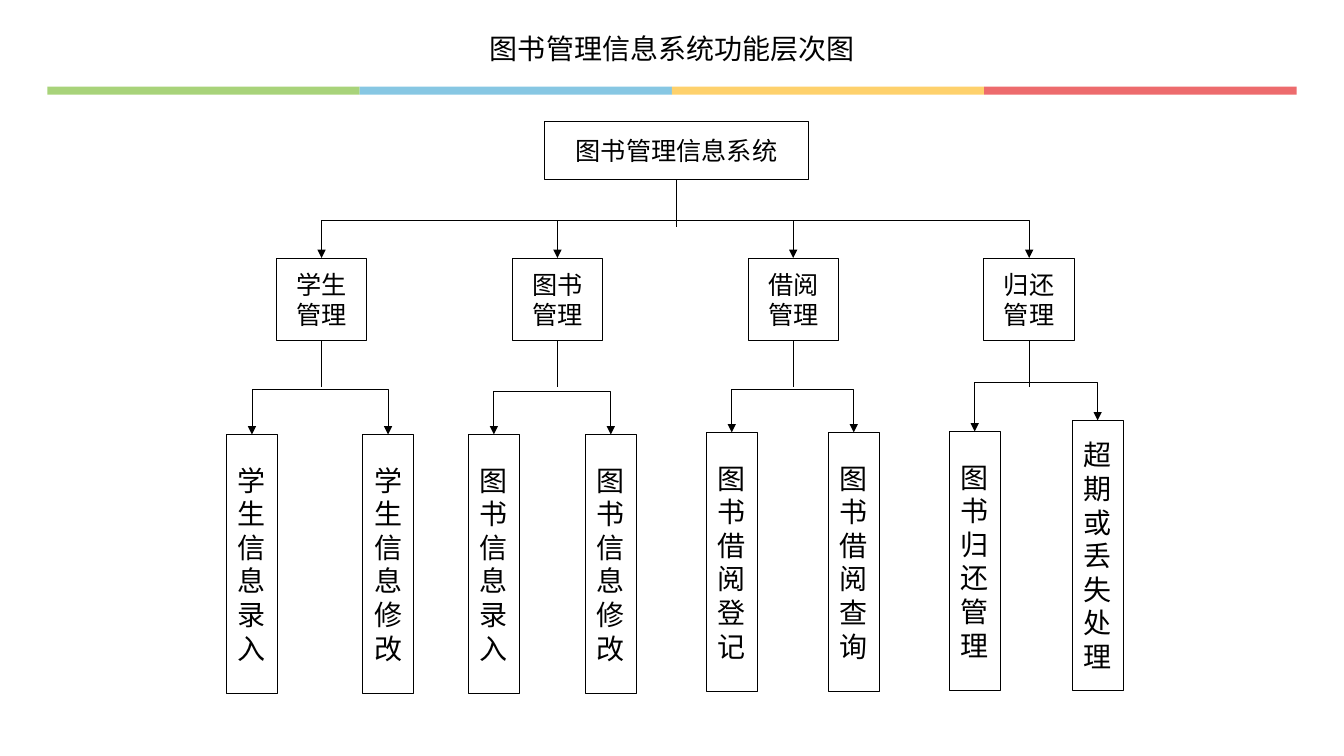
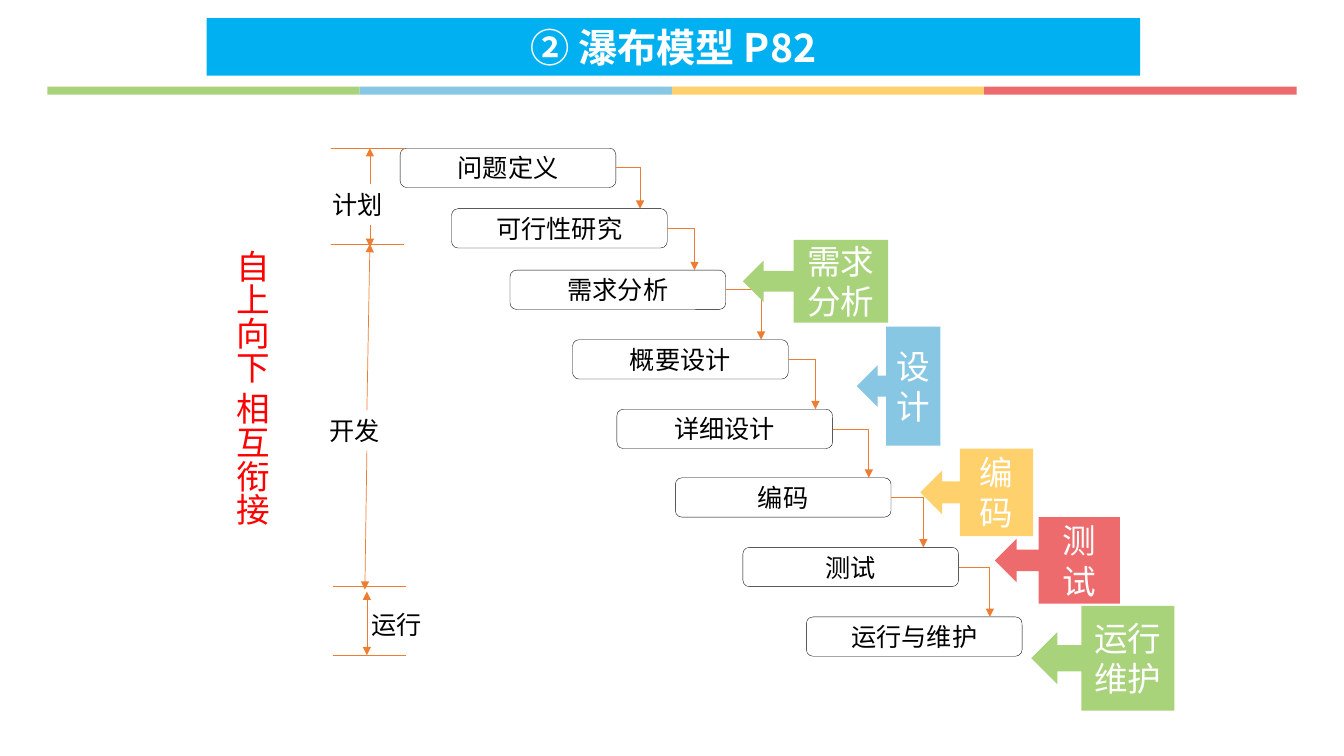
from lxml.etree import SubElement
from pptx import Presentation
from pptx.dml.color import RGBColor
from pptx.enum.shapes import MSO_CONNECTOR as Link, MSO_SHAPE as Preset
from pptx.enum.text import MSO_ANCHOR as Anchor, MSO_AUTO_SIZE as AutoSize, PP_ALIGN as Align
from pptx.oxml.ns import qn
from pptx.util import Inches, Pt

FONT = "Noto Sans CJK SC"
BLACK, WHITE, RED, ORANGE, SKY = "000000", "FFFFFF", "FF0000", "ED7D31", "00B0F0"
GREEN, BLUE, YELLOW, CORAL = BAND_COLORS = "A8D37A", "87C7E3", "FED16C", "ED6B6D"
CELL = Inches(0.1)
COLUMNS, ROWS = 133.33, 75
TITLE_ONLY = 5

# Name, height of the fork, bottom of the leaves, (leaf, left)
BRANCHES = [
    ("学生管理", 38.6, 68.8, [("学生信息录入", 22.5), ("学生信息修改", 36)]),
    ("图书管理", 38.8, 68.8, [("图书信息录入", 46.5), ("图书信息修改", 58.1)]),
    ("借阅管理", 38.6, 68.6, [("图书借阅登记", 70.1), ("图书借阅查询", 82.2)]),
    ("归还管理", 37.9, 68.5, [("图书归还管理", 94.2), ("超期或丢失处理", 106.4)]),
]

# Name, left, top, column of the arrow that comes in from the step before
STEPS = [
    ("问题定义", 39.7, 14.7, None),
    ("可行性研究", 44.8, 20.7, 63.5),
    ("需求分析", 50.6, 26.8, 68.9),
    ("概要设计", 56.8, 33.7, 75.5),
    ("详细设计", 61.2, 40.6, 80.9),
    ("编码", 67, 47.4, 86.2),
    ("测试", 73.7, 54.3, 91.6),
    ("运行与维护", 80, 61.2, 98.2),
]

CALLOUTS = [
    ("需求分析", GREEN, (73.7, 23.8, 14.4, 8.2)),
    ("设计", BLUE, (85, 32.4, 8.3, 11.8)),
    ("编码", YELLOW, (91.3, 44.5, 11.2, 8.7)),
    ("测试", CORAL, (98.7, 51.3, 12.4, 8.6)),
    ("运行维护", GREEN, (102.3, 60.1, 14.2, 10.4)),
]

PHASE_LABELS = [("计划", 32, 18.3), ("开发", 31.7, 40.7), ("运行", 35.9, 59.9)]
PHASE_LIMITS = [(32.8, 14.7), (32.8, 24.2), (33, 58.2), (33, 65)]
PHASE_ARROWS = [
    ((36.7, 18.3), (36.7, 14.7)),
    ((36.7, 22.3), (36.7, 24.5)),
    ((36.4, 40.7), (36.7, 24.2)),
    ((36.4, 44.7), (36.2, 58.5)),
]


def cells(*lengths):
    return [round(length * CELL) for length in lengths]


def rgb(color):
    return RGBColor.from_string(color)


def write(shape, text, size=18, color=BLACK, bold=False, align=Align.CENTER, wrap=True):
    frame = shape.text_frame
    frame.auto_size = AutoSize.NONE
    frame.word_wrap = wrap
    frame.vertical_anchor = Anchor.MIDDLE
    para = frame.paragraphs[0]
    para.alignment = align
    span = para.add_run()
    span.text = text
    font = span.font
    font.size, font.bold, font.name = Pt(size), bold, FONT
    font.color.rgb = rgb(color)
    SubElement(font.element if hasattr(font, "element") else span._r.get_or_add_rPr(),
               qn("a:ea"), typeface=FONT)


def add_box(page, place, preset=Preset.RECTANGLE, fill=None, line=None, width=0.5):
    box = page.shapes.add_shape(preset, *cells(*place))
    box.shadow.inherit = False
    if fill:
        box.fill.solid()
        box.fill.fore_color.rgb = rgb(fill)
    else:
        box.fill.background()
    if line:
        box.line.color.rgb = rgb(line)
        box.line.width = Pt(width)
    else:
        box.line.fill.background()
    return box


def add_label(page, text, place, **text_format):
    label = page.shapes.add_textbox(*cells(*place))
    write(label, text, **text_format)
    return label


def add_line(page, start, end, color, head=False, tail=False, bent=False):
    """Draw a connector; a bent one runs across first, then down."""
    kind = Link.ELBOW if bent else Link.STRAIGHT
    link = page.shapes.add_connector(kind, *cells(*start, *end))
    link.line.color.rgb = rgb(color)
    link.line.width = Pt(0.5)
    properties = link.element.spPr
    if bent:
        properties.find(qn("a:prstGeom")).set("prst", "bentConnector2")
    outline = properties.find(qn("a:ln"))
    for wanted, tag in ((head, "a:headEnd"), (tail, "a:tailEnd")):
        if wanted:
            SubElement(outline, qn(tag), type="triangle")
    SubElement(properties, qn("a:effectLst"))


def add_band(page, layout):
    """Draw the four-colour band and move it to the layout, for all pages."""
    margin = 4.7
    width = (COLUMNS - 2 * margin) / len(BAND_COLORS)
    for index, color in enumerate(BAND_COLORS):
        bar = add_box(page, (margin + index * width, 8.6, width, 0.8), fill=color)
        layout.shapes.element.append(bar.element)


def add_page(deck, title, place, fill=None, **text_format):
    page = deck.slides.add_slide(deck.slide_layouts[TITLE_ONLY])
    heading = page.shapes.title
    heading.left, heading.top, heading.width, heading.height = cells(*place)
    if fill:
        heading.fill.solid()
        heading.fill.fore_color.rgb = rgb(fill)
    write(heading, title, wrap=False, **text_format)
    return page


def fork(page, start, junction, stem_end, ends):
    """Draw a stem from start, and an arrow from its junction to each end."""
    column = start[0]
    add_line(page, start, (column, stem_end), BLACK)
    for end in ends:
        add_line(page, (column, junction), end, BLACK, tail=True, bent=True)


def draw_hierarchy(page):
    root_middle, root_bottom = 67.1, 17.9
    branch_top, branch_width, branch_height = 25.6, 9, 8.2
    leaf_width = 5
    middles = [31.9 + 23.4 * index for index in range(len(BRANCHES))]

    root = add_box(page, (root_middle - 13.1, 12, 26.2, 5.8), line=BLACK)
    write(root, "图书管理信息系统")
    fork(page, (root_middle, root_bottom), 21.9, 22.5,
         [(middle, branch_top) for middle in middles])

    for middle, (name, junction, bottom, leaves) in zip(middles, BRANCHES):
        place = (middle - branch_width / 2, branch_top, branch_width, branch_height)
        write(add_box(page, place, line=BLACK), name)
        ends = []
        for text, left in leaves:
            height = 25.7 if len(text) <= 6 else 26.8
            top = bottom - height
            leaf = add_box(page, (left, top, leaf_width, height), line=BLACK)
            write(leaf, text, size=20)
            ends.append((left + leaf_width / 2, top))
        fork(page, (middle, branch_top + branch_height), junction, 38.4, ends)


def draw_steps(page):
    width, height = 21.4, 3.9
    exit_point = None
    for name, left, top, arrow_column in STEPS:
        step = add_box(page, (left, top, width, height), Preset.ROUNDED_RECTANGLE,
                       line=BLACK, width=0.25)
        write(step, name)
        if exit_point:
            add_line(page, exit_point, (arrow_column, top), ORANGE, tail=True, bent=True)
        exit_point = (left + width, top + height / 2)


def draw_phases(page):
    for left, top in PHASE_LIMITS:
        add_line(page, (left, top), (left + 7.3, top), ORANGE)
    for start, end in PHASE_ARROWS:
        add_line(page, start, end, ORANGE, tail=True)
    add_line(page, (36.4, 58.7), (36.4, 65), ORANGE, head=True, tail=True)
    for text, left, top in PHASE_LABELS:
        add_label(page, text, (left, top, 9.4, 4), align=Align.LEFT)


def draw_waterfall(page):
    draw_steps(page)
    draw_phases(page)
    motto = add_label(page, "自上向下 相互衔接", (22, 23.8, 6.1, 32.5), size=24, color=RED)
    motto.text_frame._txBody.bodyPr.set("vert", "eaVert")
    for text, color, place in CALLOUTS:
        callout = add_box(page, place, Preset.LEFT_ARROW_CALLOUT, fill=color)
        write(callout, text, size=24, color=WHITE)


def main():
    deck = Presentation()
    deck.slide_width, deck.slide_height = cells(COLUMNS, ROWS)

    hierarchy = add_page(deck, "图书管理信息系统功能层次图", (44.3, 2.6, 44.8, 4.4), size=20)
    add_band(hierarchy, deck.slide_layouts[TITLE_ONLY])
    draw_hierarchy(hierarchy)

    waterfall = add_page(deck, "② 瀑布模型 P82", (20.5, 1.8, 92.6, 5.7), fill=SKY,
                         size=28, color=WHITE, bold=True)
    draw_waterfall(waterfall)

    deck.save("out.pptx")


if __name__ == "__main__":
    main()
